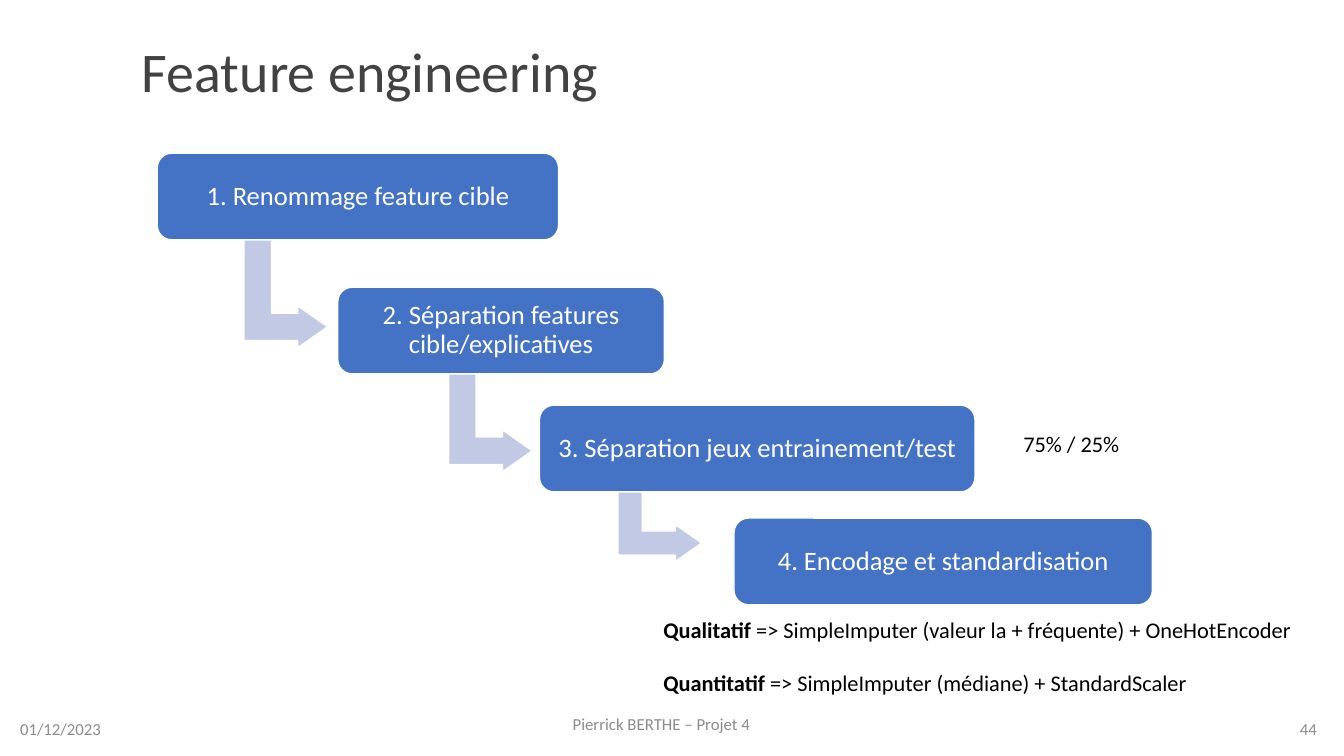
from pptx import Presentation
from pptx.dml.color import RGBColor
from pptx.enum import shapes, text
from pptx.util import Inches, Pt

COLORS = {"box": "4472C4", "arrow": "C1C9E4", "white": "FFFFFF",
          "title": "424242", "footer": "8C8C8C", "black": "000000"}
FONT = "Calibri"
BOX_H, ARROW_W = 0.86, 0.83

# Steps: text, left, top, width
STEPS = [
    ("1. Renommage feature cible", 1.56, 1.52, 3.98),
    ("2. Séparation features cible/explicatives", 3.35, 2.85, 3.24),
    ("3. Séparation jeux entrainement/test", 5.35, 4.02, 4.32),
    ("4. Encodage et standardisation", 7.28, 5.14, 4.15),
]
# Arrow below each step but the last: left, top, height as seen
ARROWS = [(2.42, 2.29, 1.16), (4.45, 3.28, 1.4), (6.13, 4.84, 0.73)]
ARROW_ADJ = (0.328, 0.25, 0.358)

LEFT, CENTER, RIGHT = text.PP_ALIGN.LEFT, text.PP_ALIGN.CENTER, text.PP_ALIGN.RIGHT
TOP, MIDDLE, BOTTOM = text.MSO_ANCHOR.TOP, text.MSO_ANCHOR.MIDDLE, text.MSO_ANCHOR.BOTTOM

# Text boxes: paragraphs as (bold part, plain part), place, size, colour, alignment, anchor
TEXTS = [
    ([("", "Pierrick BERTHE – Projet 4")], (4.31, 6.98, 4.5, 0.4), 12, "footer", CENTER, MIDDLE),
    ([("", "01/12/2023")], (0.1, 7.03, 1.18, 0.4), 12, "footer", LEFT, MIDDLE),
    ([("", "44")], (12.08, 7.03, 1.08, 0.4), 12, "footer", RIGHT, MIDDLE),
    ([("", "Feature engineering")], (1.31, 0.23, 10.12, 0.86), 40, "title", LEFT, BOTTOM),
    ([("Qualitatif", " => SimpleImputer (valeur la + fréquente) + OneHotEncoder"),
      ("Quantitatif", " => SimpleImputer (médiane) + StandardScaler")],
     (6.48, 6.06, 6.61, 0.91), 16, "black", LEFT, TOP),
    ([("", "75% / 25%")], (9.88, 4.22, 1.49, 0.37), 16, "black", CENTER, TOP),
]


def rgb(name):
    return RGBColor.from_string(COLORS[name])


def style(p, size, color, align):
    p.alignment = align
    p.font.name, p.font.size = FONT, Pt(size)
    p.font.color.rgb = rgb(color)


def add_shape(s, kind, place, fill, adjustments):
    sp = s.shapes.add_shape(kind, *map(Inches, place))
    sp.shadow.inherit = False
    sp.fill.solid()
    sp.fill.fore_color.rgb = rgb(fill)
    sp.line.color.rgb = rgb("white")
    sp.line.width = Pt(1)
    for i, value in enumerate(adjustments):
        sp.adjustments[i] = value
    return sp


def add_arrow(s, x, y, h):
    # Turned by 90°, so width and height swap around the same centre
    shift = (h - ARROW_W) / 2
    sp = add_shape(s, shapes.MSO_SHAPE.BENT_UP_ARROW,
                   (x - shift, y + shift, h, ARROW_W), "arrow", ARROW_ADJ)
    sp.rotation = 90


def add_step(s, label, x, y, w):
    sp = add_shape(s, shapes.MSO_SHAPE.ROUNDED_RECTANGLE, (x, y, w, BOX_H), "box", (0.167,))
    tf = sp.text_frame
    tf.word_wrap, tf.vertical_anchor = True, MIDDLE
    tf.margin_left = tf.margin_right = tf.margin_top = tf.margin_bottom = Inches(0.08)
    p = tf.paragraphs[0]
    p.text, p.line_spacing = label, 0.9
    style(p, 19, "white", CENTER)


def add_text(s, paragraphs, place, size, color, align, anchor):
    tf = s.shapes.add_textbox(*map(Inches, place)).text_frame
    tf.word_wrap, tf.vertical_anchor = True, anchor
    for i, (bold, plain) in enumerate(paragraphs):
        p = tf.add_paragraph() if i else tf.paragraphs[0]
        if i:
            p.space_before = Pt(19)
        if size == 40:
            p.line_spacing = 0.9
        if bold:
            r = p.add_run()
            r.text, r.font.bold = bold, True
        p.add_run().text = plain
        style(p, size, color, align)


def main():
    prs = Presentation()
    prs.slide_width, prs.slide_height = Inches(13.33), Inches(7.5)
    s = prs.slides.add_slide(prs.slide_layouts[6])

    # Staircase: each arrow sits behind its step
    for i, step in enumerate(STEPS):
        if i < len(ARROWS):
            add_arrow(s, *ARROWS[i])
        add_step(s, *step)

    # Title, notes beside the steps, footer
    for item in TEXTS:
        add_text(s, *item)

    prs.save("out.pptx")


if __name__ == "__main__":
    main()
